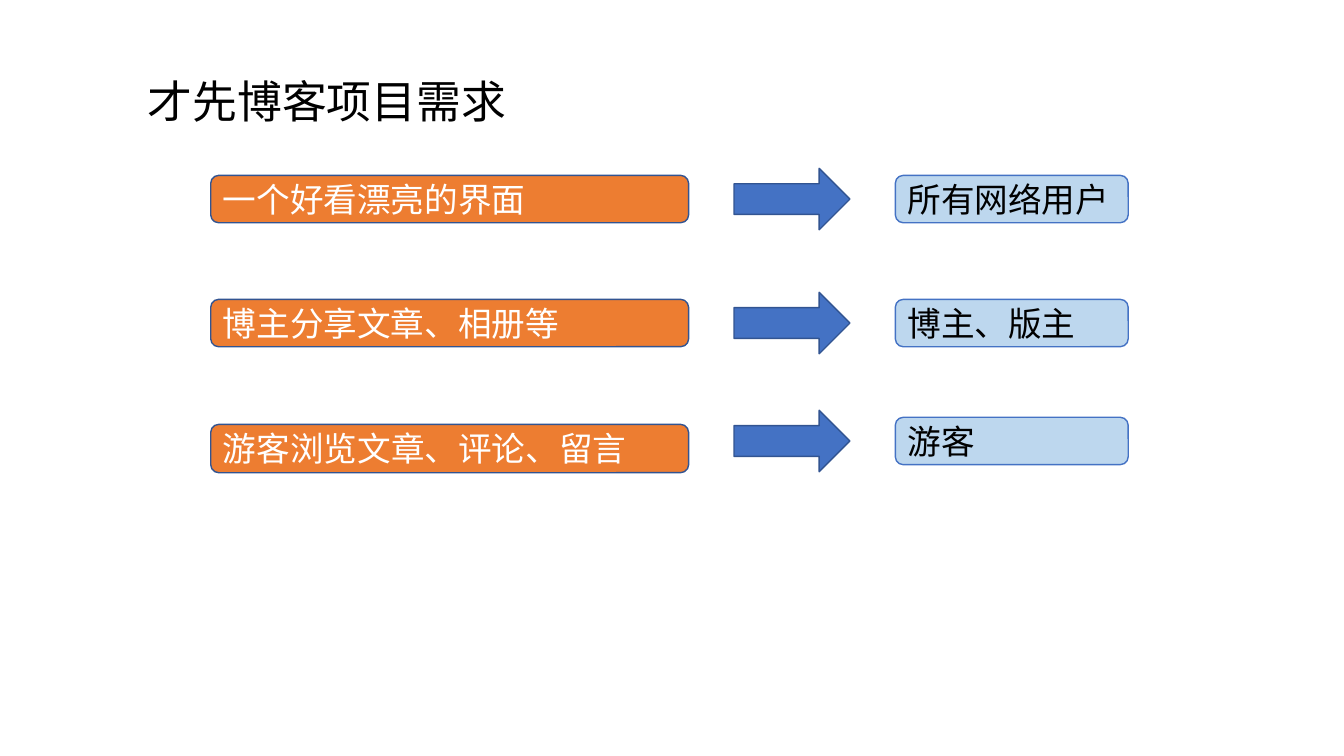
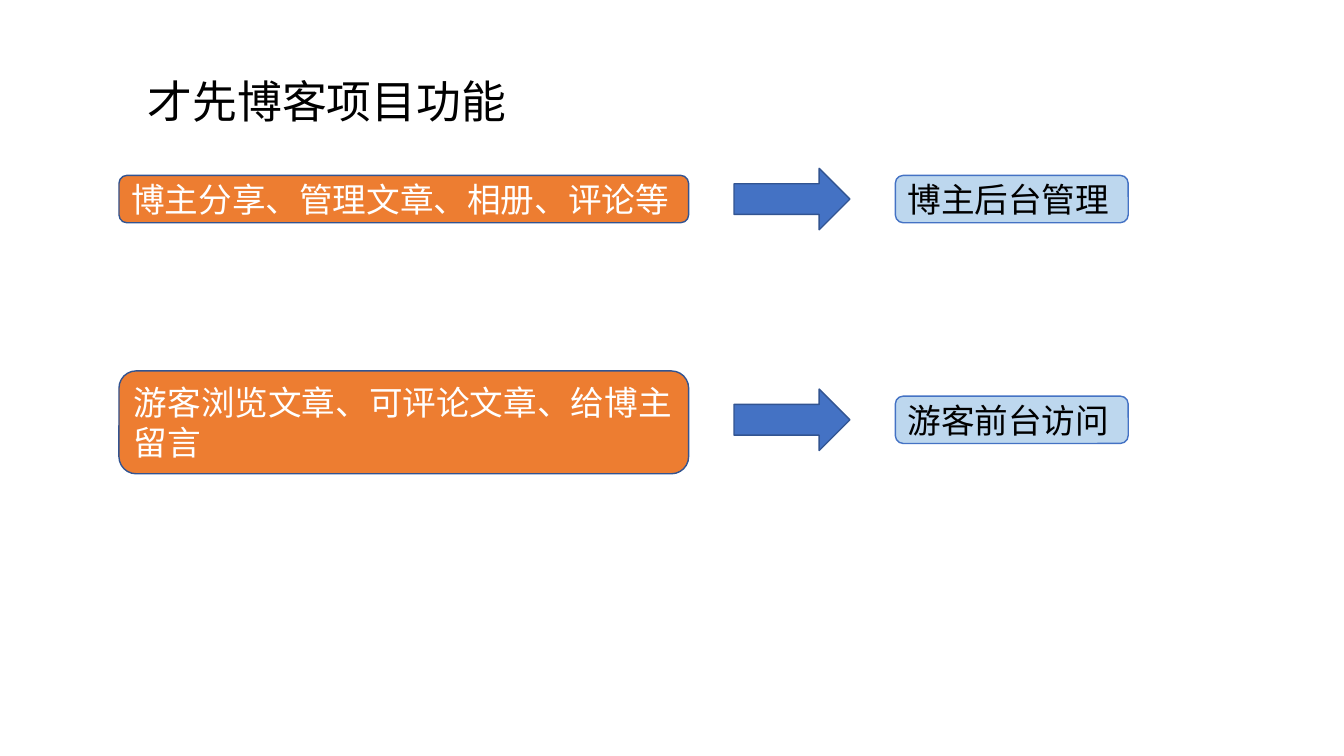
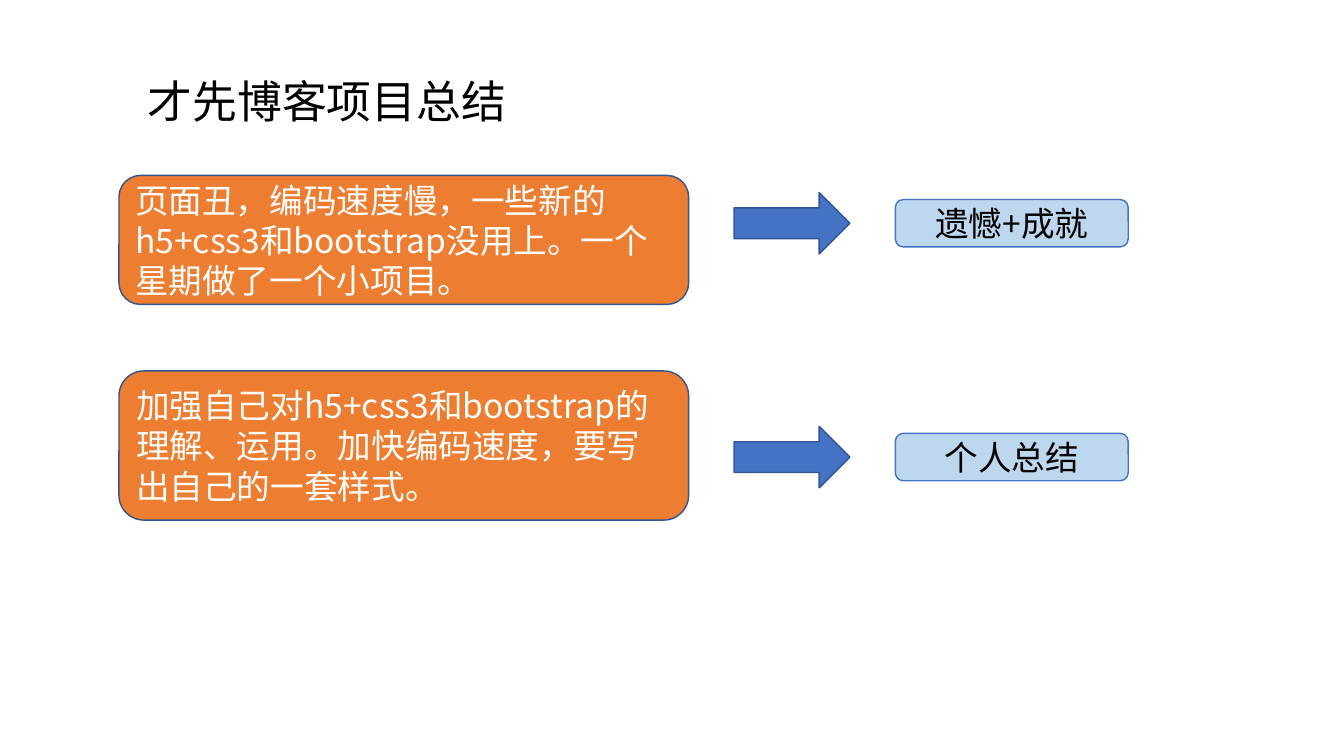
from dataclasses import dataclass

from lxml import etree
from pptx import Presentation
from pptx.dml.color import RGBColor
from pptx.enum import shapes, text
from pptx.oxml import ns
from pptx.util import Inches, Pt


# Shared look
@dataclass(frozen=True)
class Theme:
    font: str = "Noto Sans CJK SC"
    title_size: int = 32
    body_size: int = 24
    line_width: int = 1
    black: str = "000000"
    white: str = "FFFFFF"
    orange: str = "ED7D31"
    blue: str = "4472C4"
    navy: str = "325491"
    pale_blue: str = "BDD7EE"


THEME = Theme()
LEFT, CENTER = text.PP_ALIGN.LEFT, text.PP_ALIGN.CENTER

# Shared columns, in inches
WIDE_LEFT = 1.18
NARROW_LEFT = 2.09
STATEMENT_RIGHT = 6.83
ARROW_LEFT, ARROW_WIDTH, ARROW_HEIGHT = 7.28, 1.15, 0.61
RESULT_LEFT, RESULT_WIDTH = 8.88, 2.31
ROW_HEIGHT = 0.47


# Element builders
def write_text(frame, words, *, size=THEME.body_size, color=THEME.black,
               align=LEFT, anchor=text.MSO_ANCHOR.MIDDLE):
    frame.word_wrap = True
    frame.vertical_anchor = anchor
    para = frame.paragraphs[0]
    para.alignment = align
    span = para.add_run()
    span.text = words
    span.font.name = THEME.font
    span.font.size = Pt(size)
    span.font.color.rgb = RGBColor.from_string(color)
    # East Asian glyphs take their font from a separate element
    east_asian = etree.SubElement(span._r.get_or_add_rPr(), ns.qn("a:ea"))
    east_asian.set("typeface", THEME.font)


def add_title(page, words):
    box = page.shapes.add_textbox(Inches(WIDE_LEFT), Inches(0.68),
                                  Inches(4.13), Inches(0.64))
    write_text(box.text_frame, words, size=THEME.title_size, align=CENTER,
               anchor=text.MSO_ANCHOR.TOP)


def add_block(page, kind, left, top, width, height, *, fill, line):
    block = page.shapes.add_shape(kind, Inches(left), Inches(top),
                                  Inches(width), Inches(height))
    block.shadow.inherit = False
    block.fill.solid()
    block.fill.fore_color.rgb = RGBColor.from_string(fill)
    block.line.color.rgb = RGBColor.from_string(line)
    block.line.width = Pt(THEME.line_width)
    return block


def add_statement(page, words, left, top, height):
    block = add_block(page, shapes.MSO_SHAPE.ROUNDED_RECTANGLE, left, top,
                      STATEMENT_RIGHT - left, height,
                      fill=THEME.orange, line=THEME.navy)
    write_text(block.text_frame, words, color=THEME.white)


def add_result(page, words, top, align):
    """Add an arrow and the result box it points to, on one centre line."""
    arrow_top = top - (ARROW_HEIGHT - ROW_HEIGHT) / 2
    add_block(page, shapes.MSO_SHAPE.RIGHT_ARROW, ARROW_LEFT, arrow_top,
              ARROW_WIDTH, ARROW_HEIGHT, fill=THEME.blue, line=THEME.navy)
    block = add_block(page, shapes.MSO_SHAPE.ROUNDED_RECTANGLE, RESULT_LEFT,
                      top, RESULT_WIDTH, ROW_HEIGHT,
                      fill=THEME.pale_blue, line=THEME.blue)
    write_text(block.text_frame, words, align=align)


def add_page(deck, title, statements, results, *, left=WIDE_LEFT,
             result_align=LEFT):
    page = deck.slides.add_slide(deck.slide_layouts[6])
    add_title(page, title)
    for words, top, height in statements:
        add_statement(page, words, left, top, height)
    for words, top in results:
        add_result(page, words, top, result_align)


def main():
    deck = Presentation()
    deck.slide_width, deck.slide_height = Inches(13.33), Inches(7.5)

    # Requirements
    add_page(
        deck, "才先博客项目需求",
        [("一个好看漂亮的界面", 1.74, ROW_HEIGHT),
         ("博主分享文章、相册等", 2.97, ROW_HEIGHT),
         ("游客浏览文章、评论、留言", 4.21, 0.48)],
        [("所有网络用户", 1.74), ("博主、版主", 2.97), ("游客", 4.14)],
        left=NARROW_LEFT)

    # Features
    add_page(
        deck, "才先博客项目功能",
        [("博主分享、管理文章、相册、评论等", 1.74, ROW_HEIGHT),
         ("游客浏览文章、可评论文章、给博主留言", 3.68, 1.02)],
        [("博主后台管理", 1.74), ("游客前台访问", 3.93)])

    # Summary
    add_page(
        deck, "才先博客项目总结",
        [("页面丑，编码速度慢，一些新的h5+css3和bootstrap没用上。"
          "一个星期做了一个小项目。", 1.74, 1.28),
         ("加强自己对h5+css3和bootstrap的理解、运用。"
          "加快编码速度，要写出自己的一套样式。", 3.68, 1.48)],
        [("遗憾+成就", 1.98), ("个人总结", 4.3)],
        result_align=CENTER)

    deck.save("out.pptx")


main()
